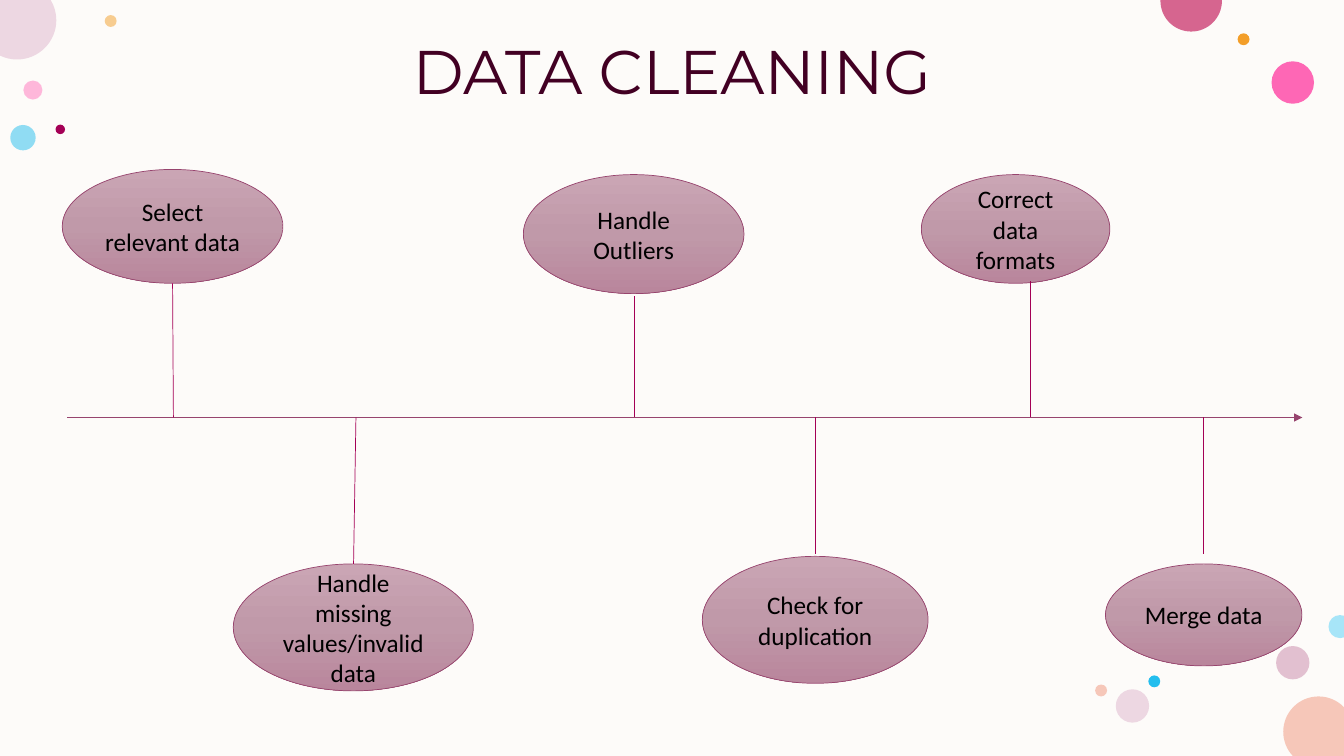
from copy import deepcopy
from math import acos, asin, cos, pi, sin, tan

from lxml import etree
from pptx import Presentation
from pptx.dml.color import RGBColor
from pptx.enum.shapes import MSO_CONNECTOR, MSO_SHAPE
from pptx.enum.text import MSO_ANCHOR, MSO_AUTO_SIZE, PP_ALIGN
from pptx.oxml.ns import qn
from pptx.util import Cm, Pt

OVAL, RECTANGLE = MSO_SHAPE.OVAL, MSO_SHAPE.RECTANGLE
STRAIGHT = MSO_CONNECTOR.STRAIGHT
MIDDLE, CENTER, NO_FIT = MSO_ANCHOR.MIDDLE, PP_ALIGN.CENTER, MSO_AUTO_SIZE.NONE

# Boxes are left, top, width, height in cm
SLIDE_BOX = (0, 0, 33.87, 19.05)
TITLE_BOX = (2.13, 0.03, 29.62, 3.68)
TIMELINE_BOX = (1.57, 4.27, 31.25, 13.13)
AXIS_Y = 6.25
PLUM, MAUVE = "A40056", "97446E"
OVAL_STOPS = [(0, "CAA5B4"), (0.5, "C099A9"), (1, "B9869C")]

# Centre x, centre y, diameter, colour, opacity in percent
BUBBLES = [
    (0.83, 2.27, 0.48, "FF75BD", 50),
    (2.79, 0.53, 0.3, "F39E29", 50),
    (32.58, 16.7, 0.84, "C987A8", 50),
    (0.58, 3.47, 0.64, "24BEEE", 50),
    (32.58, 2.08, 1.07, "FF2F9C", 72),
    (31.34, 0.99, 0.3, "F39E29", 100),
    (32.44, 15.37, 0.25, "E3BEBE", 28),
    (29.09, 17.17, 0.3, "24BEEE", 100),
    (28.54, 17.79, 0.84, "EDD7E2", 100),
    (27.75, 17.4, 0.3, "F6C7B9", 100),
    (1.52, 3.26, 0.24, PLUM, 100),
    (33.23, 18.44, 1.78, "F6C7B9", 100),
    (0.43, 0.51, 1.98, "EDD7E2", 100),
    (30.02, 0.02, 1.55, "D6658F", 100),
    (33.77, 15.79, 0.58, "A7E5F8", 100),
]

# Label, oval box, stem (x on axis, x at oval, y at oval), relative to the timeline
STEPS = [
    ("Select relevant data", (0, 0, 5.56, 2.87), (2.8, 2.78, 2.87)),
    ("Handle missing values/invalid data", (4.31, 9.94, 6.05, 3.2), (7.4, 7.34, 9.94)),
    ("Handle Outliers", (11.62, 0.13, 5.56, 3), (14.41, 14.41, 3.2)),
    ("Check for duplication", (16.13, 9.75, 5.69, 3.2), (18.98, 18.98, 9.7)),
    ("Correct data formats", (21.65, 0.13, 4.75, 2.74), (24.39, 24.39, 2.82)),
    ("Merge data", (26.29, 9.94, 4.95, 2.57), (28.76, 28.76, 9.7)),
]


def rgb(hex_color):
    return RGBColor.from_string(hex_color)


def paint(shape, color):
    shape.shadow.inherit = False
    shape.line.fill.background()
    shape.fill.solid()
    shape.fill.fore_color.rgb = rgb(color)


def style_text(paragraph, font_name, size, color):
    paragraph.alignment = CENTER
    paragraph.font.name = font_name
    paragraph.font.size = Pt(size)
    paragraph.font.color.rgb = rgb(color)


def add_line(slide, start, end, color):
    line = slide.shapes.add_connector(STRAIGHT, *map(Cm, start + end))
    line.line.color.rgb = rgb(color)
    line.line.width = Pt(0.5)
    etree.SubElement(line._element.spPr, qn("a:effectLst"))
    return line


def add_cut_circle(slide, box, x, y, radius):
    """Add the part of a circle that lies within the box, with one visible arc."""
    left, top, width, height = box

    def on_circle(angle):
        return x + radius * cos(angle), y + radius * sin(angle)

    def is_inside(angle):
        px, py = on_circle(angle)
        return -0.001 <= px <= width + 0.001 and -0.001 <= py <= height + 0.001

    # Nodes: the four extremes and the crossings with the box edges
    angles = [quarter * pi / 2 for quarter in range(4)]
    for edge in (-x / radius, (width - x) / radius):
        if abs(edge) < 1:
            angles += [acos(edge), -acos(edge)]
    for edge in (-y / radius, (height - y) / radius):
        if abs(edge) < 1:
            angles += [asin(edge), pi - asin(edge)]
    angles = sorted(angle % (2 * pi) for angle in angles if is_inside(angle))
    following = angles[1:] + [angles[0] + 2 * pi]
    gap = next(i for i, (a, b) in enumerate(zip(angles, following))
               if not is_inside((a + b) / 2))
    angles = angles[gap + 1:] + [angle + 2 * pi for angle in angles[:gap + 1]]
    corners = [(cx, cy) for cx in (0, width) for cy in (0, height)
               if (cx - x) ** 2 + (cy - y) ** 2 < radius ** 2]
    outline = [(Cm(left + px), Cm(top + py))
               for px, py in [on_circle(angle) for angle in angles] + corners]
    builder = slide.shapes.build_freeform(*outline[0])
    builder.add_line_segments(outline[1:])
    bubble = builder.convert_to_shape()

    # Bend the sides between nodes into arcs
    sides = list(bubble._element.iter(qn("a:lnTo")))
    for side, a, b in zip(sides, angles, angles[1:]):
        reach = 4 / 3 * tan((b - a) / 4) * radius
        curve = etree.Element(qn("a:cubicBezTo"))
        for angle, pull in ((a, reach), (b, -reach)):
            px, py = on_circle(angle)
            control_x = Cm(left + px - pull * sin(angle)) - bubble.left
            control_y = Cm(top + py + pull * cos(angle)) - bubble.top
            etree.SubElement(curve, qn("a:pt"), x=str(control_x), y=str(control_y))
        curve.append(side[0])
        side.getparent().replace(side, curve)
    return bubble


def add_backdrop(slide, box):
    left, top, width, height = box
    paint(slide.shapes.add_shape(RECTANGLE, *map(Cm, box)), "FDFBF9")
    for x, y, diameter, color, opacity in BUBBLES:
        radius = diameter / 2
        if radius <= x <= width - radius and radius <= y <= height - radius:
            bubble = slide.shapes.add_shape(
                OVAL, Cm(left + x - radius), Cm(top + y - radius), Cm(diameter), Cm(diameter))
        else:
            bubble = add_cut_circle(slide, box, x, y, radius)
        paint(bubble, color)
        if opacity < 100:
            tint = bubble._element.spPr.find(".//" + qn("a:srgbClr"))
            etree.SubElement(tint, qn("a:alpha"), val=str(opacity * 1000))


def add_title(slide, box):
    title = slide.shapes.title
    title.left, title.top, title.width, title.height = map(Cm, box)
    frame = title.text_frame
    frame.text = "DATA CLEANING"
    frame.auto_size = NO_FIT
    frame.vertical_anchor = MIDDLE
    heading = frame.paragraphs[0]
    heading.line_spacing = 0.9
    style_text(heading, "Montserrat", 44, "420023")


def add_step_oval(slide, box, label):
    oval = slide.shapes.add_shape(OVAL, *map(Cm, box))
    oval.shadow.inherit = False
    oval.fill.gradient()
    oval.fill.gradient_angle = 270
    stop_list = oval._element.spPr.find(".//" + qn("a:gsLst"))
    stop_list.insert(1, deepcopy(stop_list[0]))
    for stop, (position, color) in zip(oval.fill.gradient_stops, OVAL_STOPS):
        stop.color.rgb = rgb(color)
        stop.position = position
    oval.line.color.rgb = rgb(MAUVE)
    oval.line.width = Pt(0.5)
    frame = oval.text_frame
    frame.text = label
    frame.word_wrap = True
    frame.vertical_anchor = MIDDLE
    style_text(frame.paragraphs[0], "Calibri", 18, "000000")


def add_timeline(slide, box):
    left, top, width, _ = box
    axis_y = top + AXIS_Y
    # Axis arrow
    axis = add_line(slide, (left + 0.13, axis_y), (left + width, axis_y), MAUVE)
    etree.SubElement(axis.line._get_or_add_ln(), qn("a:tailEnd"), type="triangle")
    # Steps and their stems
    for label, (x, y, oval_width, oval_height), (axis_x, end_x, end_y) in STEPS:
        add_step_oval(slide, (left + x, top + y, oval_width, oval_height), label)
        add_line(slide, (left + axis_x, axis_y), (left + end_x, top + end_y), PLUM)


presentation = Presentation()
presentation.slide_width, presentation.slide_height = map(Cm, SLIDE_BOX[2:])
slide = presentation.slides.add_slide(presentation.slide_layouts[5])
add_backdrop(slide, SLIDE_BOX)
# The title placeholder comes first on a new slide: bring it above the backdrop
slide.shapes._spTree.append(slide.shapes.title._element)
add_title(slide, TITLE_BOX)
add_timeline(slide, TIMELINE_BOX)
presentation.save("out.pptx")
